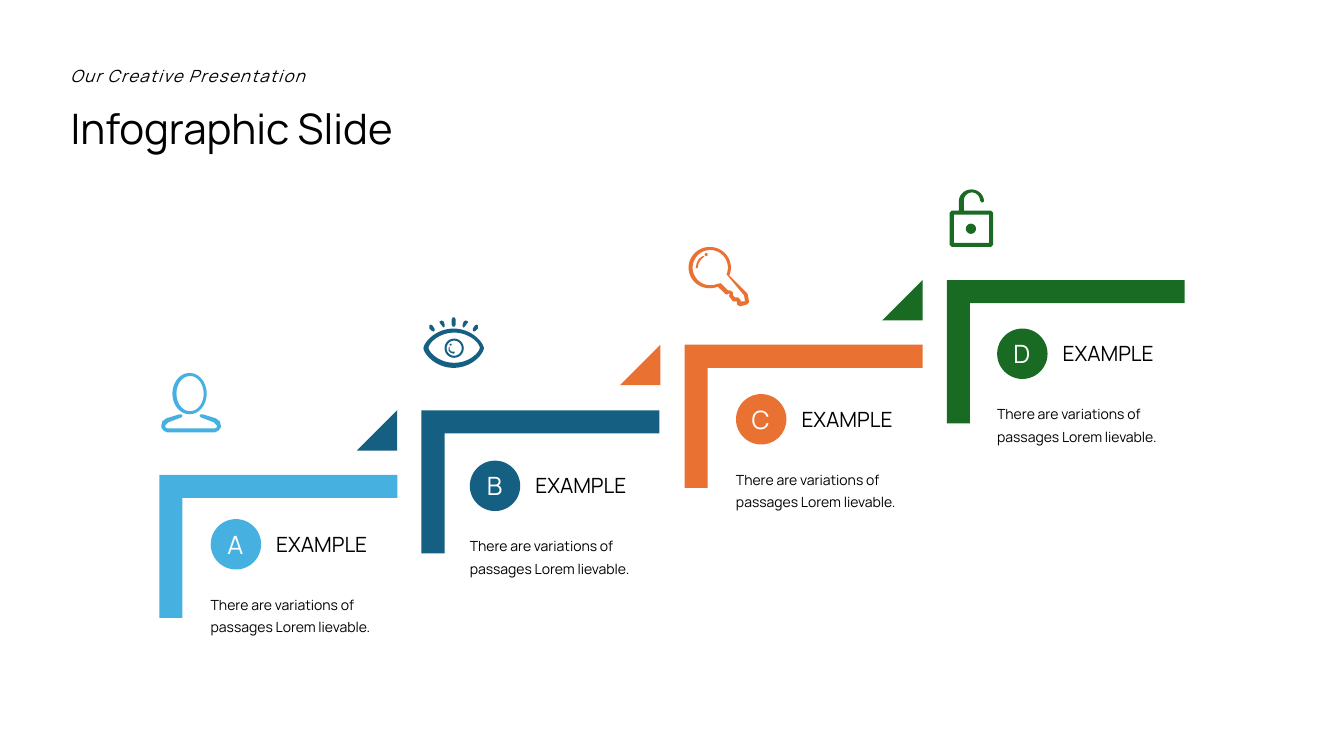
"""Builds the four-step staircase infographic slide."""
import math
import pptx
import pptx.dml.color
import pptx.enum.shapes
import pptx.enum.text
import pptx.util

PX = 9144
THEME = {
    "font": "Manrope", "text": "000000", "light": "FFFFFF",
    "steps": ["46B1E1", "156082", "E97132", "196B24"],
    "title": 30, "tagline": 12, "letter": 18, "heading": 15, "body": 10,
}
MSO = pptx.enum.shapes.MSO_SHAPE
ALIGN = pptx.enum.text.PP_ALIGN


def write(sp, text, size, color, inset=0, align=ALIGN.LEFT):
    """Fills a text shape with one formatted run and returns the run."""
    tf = sp.text_frame
    tf.word_wrap = True
    tf.auto_size = pptx.enum.text.MSO_AUTO_SIZE.SHAPE_TO_FIT_TEXT
    tf.vertical_anchor = pptx.enum.text.MSO_ANCHOR.TOP
    tf.margin_left = tf.margin_right = inset * PX
    tf.margin_top = tf.margin_bottom = 5 * PX
    p = tf.paragraphs[0]
    p.alignment = align
    r = p.add_run()
    r.text = text
    r.font.name = THEME["font"]
    r.font.size = pptx.util.Pt(THEME[size])
    r.font.color.rgb = pptx.dml.color.RGBColor.from_string(THEME[color])
    return r


def oval(x, y, w, h, pinch=0):
    """Returns 49 points clockwise from the right; pinch narrows the ends."""
    turns = [math.radians(7.5 * n) for n in range(49)]
    return [(x + w / 2 * (1 + math.cos(t)),
             y + h / 2 * (1 + math.sin(t) * abs(math.sin(t)) ** pinch)) for t in turns]


prs = pptx.Presentation()
prs.slide_width, prs.slide_height = 1333 * PX, 750 * PX
s = prs.slides.add_slide(prs.slide_layouts[5])

title = s.shapes.title
title.left, title.top, title.width, title.height = 60 * PX, 97 * PX, 381 * PX, 61 * PX
write(title, "Infographic Slide", "title", "text", 10)
tagline = s.shapes.add_textbox(60 * PX, 60 * PX, 299 * PX, 30 * PX)
r = write(tagline, "Our Creative Presentation", "tagline", "text", 10)
r.font.italic = True
r._r.get_or_add_rPr().set("spc", "100")

shoulder = [(190, 429), (213, 429), (217, 427), (219, 424), (219, 422), (218, 418),
            (214, 415), (201, 411), (199, 411), (198, 412), (199, 414), (212, 419),
            (215, 422), (215, 424), (213, 425), (190, 425)]
person = [oval(171, 370, 34, 41), oval(175, 373, 27, 35),
          shoulder + [(379 - x, y) for x, y in reversed(shoulder)]]

lashes = [[(439, 324), (440, 325), (441, 324), (441, 322), (440, 319), (438, 318),
           (436, 319), (436, 320)],
          [(428, 328), (430, 329), (431, 328), (431, 326), (429, 323), (427, 322),
           (426, 323), (426, 326)]]
eye = [oval(420, 326, 60, 39, 0.35), oval(425, 330, 51, 30, 0.35),
       oval(441, 336, 19, 19), oval(443, 338, 15, 15), oval(446, 341, 2, 2),
       [(446, 344), (446, 347), (448, 349), (451, 349), (451, 350), (450, 351),
        (447, 350), (445, 348), (445, 345)],
       [(448, 317), (449, 315), (451, 315), (452, 317), (452, 322), (451, 324),
        (449, 324), (448, 322)],
       *lashes, *[[(900 - x, y) for x, y in lash] for lash in lashes]]

bow, hole = oval(683, 245, 42, 41), oval(687, 248, 35, 35)
key = [bow[9:48] + bow[:4] + [
           (741, 291), (742, 293), (743, 300), (741, 302), (734, 304), (731, 302),
           (731, 299), (727, 299), (724, 295), (723, 293), (724, 292), (723, 291),
           (722, 292), (720, 292)],
       hole[9:48] + hole[:4] + [
           (738, 293), (739, 299), (735, 299), (734, 297), (732, 295), (729, 295),
           (727, 293), (727, 290), (724, 288), (722, 288), (715, 281)],
       oval(699, 251, 3, 3),
       [(690, 266), (691, 261), (693, 257), (697, 254), (699, 254), (698, 255),
        (695, 258), (693, 261), (692, 266)]]

lock = [[(942, 211), (944, 209), (951, 209), *oval(951, 188, 25, 24)[24:], (974, 201),
         *reversed(oval(956, 191, 16, 16)[24:]), (956, 209), (983, 209), (985, 211),
         (985, 243), (983, 245), (944, 245), (942, 243)],
        [(946, 213), (981, 213), (981, 241), (946, 241)], oval(958, 222, 10, 10)]

steps = [("A", person, 209, 515), ("B", eye, 466, 457),
         ("C", key, 730, 391), ("D", lock, 989, 326)]

for i, (letter, icon, x, y) in enumerate(steps):
    corner_x, corner_y = round(205 + 260.4 * i), 424 - round(64.4 * i)
    corner = s.shapes.add_shape(MSO.CORNER, corner_x * PX, corner_y * PX, 142 * PX, 236 * PX)
    corner.rotation = 90
    corner.adjustments[0] = corner.adjustments[1] = 0.161
    disc = s.shapes.add_shape(MSO.OVAL, x * PX, y * PX, 50 * PX, 50 * PX)
    parts = [corner, disc]
    if i:
        flag = s.shapes.add_shape(MSO.ISOSCELES_TRIANGLE, (corner_x - 111) * PX,
                                  (corner_y + 47) * PX, 40 * PX, 40 * PX)
        flag.adjustments[0] = 1
        parts.append(flag)

    contours = [[(px * PX, py * PX) for px, py in contour] for contour in icon]
    fb = s.shapes.build_freeform(*contours[0][0])
    fb.add_line_segments(contours[0][1:])
    for contour in contours[1:]:
        fb.move_to(*contour[0])
        fb.add_line_segments(contour[1:])
    parts.append(fb.convert_to_shape())

    for sp in parts:
        sp.shadow.inherit = False
        sp.fill.solid()
        sp.fill.fore_color.rgb = pptx.dml.color.RGBColor.from_string(THEME["steps"][i])
        sp.line.fill.background()

    label = s.shapes.add_textbox((x - 3) * PX, (y + 5) * PX, 55 * PX, 40 * PX)
    write(label, letter, "letter", "light", align=ALIGN.CENTER)
    heading = s.shapes.add_textbox((x + 65) * PX, (y + 7) * PX, 113 * PX, 35 * PX)
    write(heading, "EXAMPLE", "heading", "text")
    body = s.shapes.add_textbox(x * PX, (y + 66) * PX, 196 * PX, 53 * PX)
    write(body, "There are variations of passages Lorem lievable.", "body", "text")
    body.text_frame.paragraphs[0].line_spacing = pptx.util.Pt(16)

prs.save("out.pptx")
